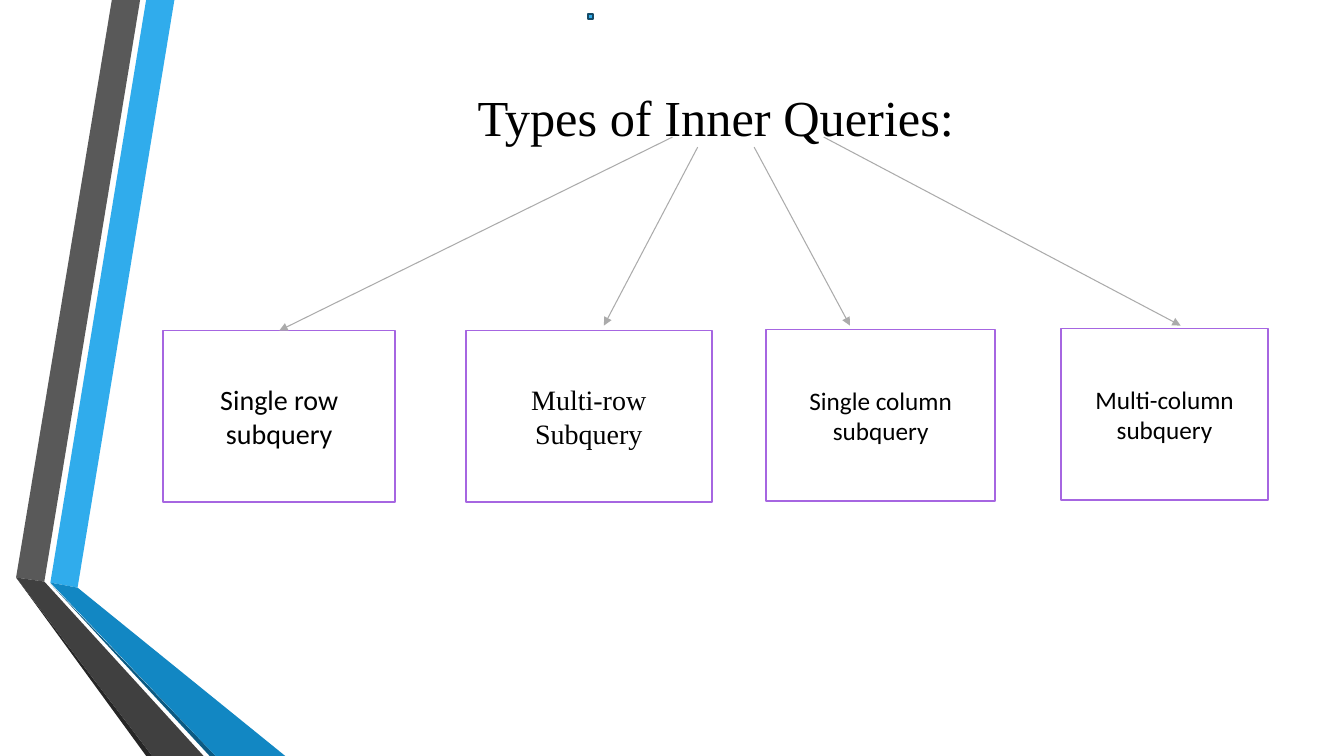
from typing import NamedTuple

from lxml import etree
from pptx import Presentation
from pptx.dml.color import RGBColor
from pptx.enum.shapes import MSO_CONNECTOR, MSO_SHAPE
from pptx.enum.text import MSO_ANCHOR, PP_ALIGN
from pptx.oxml.ns import qn
from pptx.util import Inches, Pt

RECT = MSO_SHAPE.RECTANGLE
LINE = MSO_CONNECTOR.STRAIGHT
TOP = MSO_ANCHOR.TOP
MIDDLE = MSO_ANCHOR.MIDDLE
CENTER = PP_ALIGN.CENTER

COLORS = {
    "white": "FFFFFF", "black": "000000", "purple": "A666E1", "arrow": "ABABAB",
    "sky": "30ACEC", "blue": "1287C3", "deep": "0C5A82", "navy": "154B67",
    "gray": "595959", "dark": "404040", "coal": "262626",
}
SERIF = "Times New Roman"
SANS = "Calibri"

Point = tuple[float, float]


class Band(NamedTuple):
    color: str
    points: list[Point]


class Box(NamedTuple):
    text: str
    left: float
    top: float
    width: float
    font: str
    size: int


class Arrow(NamedTuple):
    start: Point
    end: Point
    box: int | None = None  # box whose top middle the arrow meets


BANDS = [
    Band("sky", [(0.5, 5.78), (0.77, 5.83), (1.73, 0), (1.45, 0)]),
    Band("gray", [(1.39, 0), (1.11, 0), (0.16, 5.73), (0.44, 5.77)]),
    Band("coal", [(0.16, 5.73), (1.45, 7.5), (1.51, 7.5)]),
    Band("deep", [(0.5, 5.79), (2.08, 7.5), (2.14, 7.5)]),
    Band("blue", [(0.5, 5.78), (2.14, 7.5), (2.83, 7.5), (0.77, 5.83)]),
    Band("dark", [(2.02, 7.5), (0.44, 5.77), (0.16, 5.73), (1.51, 7.5)]),
]
BOXES = [
    Box("Single row subquery", 1.62, 3.28, 2.3, SANS, 20),
    Box("Multi-row Subquery", 4.62, 3.28, 2.44, SERIF, 20),
    Box("Single column subquery", 7.6, 3.27, 2.27, SANS, 18),
    Box("Multi-column subquery", 10.52, 3.26, 2.06, SANS, 18),
]
ARROWS = [
    Arrow((6.67, 1.36), (2.77, 3.28), 0),
    Arrow((6.92, 1.46), (5.99, 3.23)),
    Arrow((7.48, 1.46), (8.43, 3.23)),
    Arrow((8.17, 1.36), (11.71, 3.23)),
]


def rgb(name: str) -> RGBColor:
    return RGBColor.from_string(COLORS[name])


def write(shape, text: str, font: str, size: int, anchor=MIDDLE) -> None:
    frame = shape.text_frame
    frame.word_wrap = True
    frame.vertical_anchor = anchor
    para = frame.paragraphs[0]
    para.text = text
    para.alignment = CENTER
    para.font.name = font
    para.font.size = Pt(size)
    para.font.color.rgb = rgb("black")


def paint(shape, fill: str, line: str | None = None) -> None:
    shape.shadow.inherit = False
    shape.fill.solid()
    shape.fill.fore_color.rgb = rgb(fill)
    if line:
        shape.line.color.rgb = rgb(line)
        shape.line.width = Pt(1.25)
    else:
        shape.line.fill.background()


def add_band(shapes, band: Band) -> None:
    first, *rest = [(Inches(x), Inches(y)) for x, y in band.points]
    path = shapes.build_freeform(*first)
    path.add_line_segments(rest, close=True)
    paint(path.convert_to_shape(), band.color)


def add_box(shapes, box: Box):
    shape = shapes.add_shape(
        RECT, Inches(box.left), Inches(box.top), Inches(box.width), Inches(1.7))
    paint(shape, "white", "purple")
    write(shape, box.text, box.font, box.size)
    return shape


def add_arrow(shapes, arrow: Arrow, boxes: list) -> None:
    ends = [Inches(n) for n in arrow.start + arrow.end]
    link = shapes.add_connector(LINE, *ends)
    if arrow.box is not None:
        link.end_connect(boxes[arrow.box], 0)
    link.line.color.rgb = rgb("arrow")
    link.line.width = Pt(0.75)
    etree.SubElement(link.line._get_or_add_ln(), qn("a:tailEnd"), type="triangle")
    etree.SubElement(link._element.spPr, qn("a:effectLst"))


def main() -> None:
    deck = Presentation()
    deck.slide_width, deck.slide_height = Inches(13.33), Inches(7.5)
    shapes = deck.slides.add_slide(deck.slide_layouts[6]).shapes

    # Folded ribbons on the left
    for band in BANDS:
        add_band(shapes, band)

    # Title
    title = shapes.add_textbox(
        Inches(1.62), Inches(0.75), Inches(10.96), Inches(1.92))
    write(title, "Types of Inner Queries:", SERIF, 36, TOP)
    title.text_frame.margin_top = Inches(0.1)

    # Query types and the arrows to them
    boxes = [add_box(shapes, box) for box in BOXES]
    for arrow in ARROWS:
        add_arrow(shapes, arrow, boxes)

    # Small square at the top
    dot = shapes.add_shape(
        RECT, Inches(5.83), Inches(0.14), Inches(0.05), Inches(0.05))
    paint(dot, "sky", "navy")

    deck.save("out.pptx")


if __name__ == "__main__":
    main()
